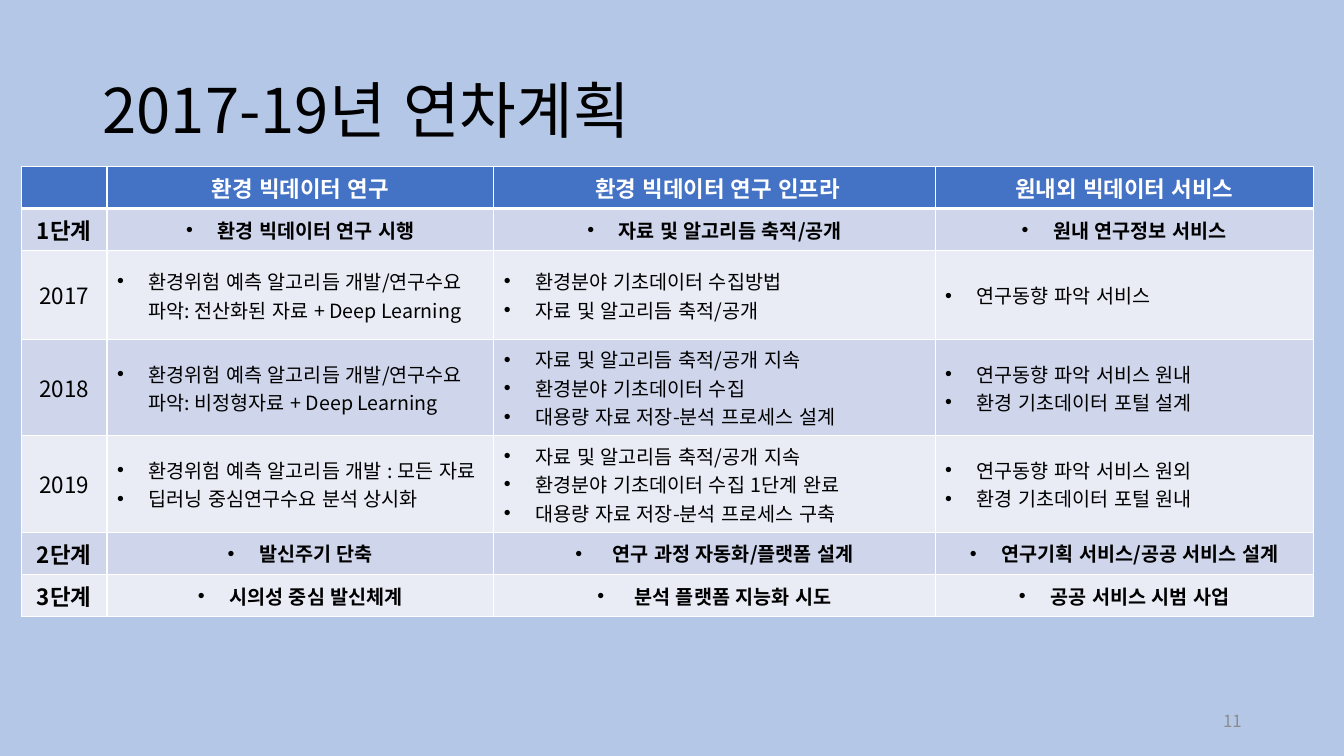
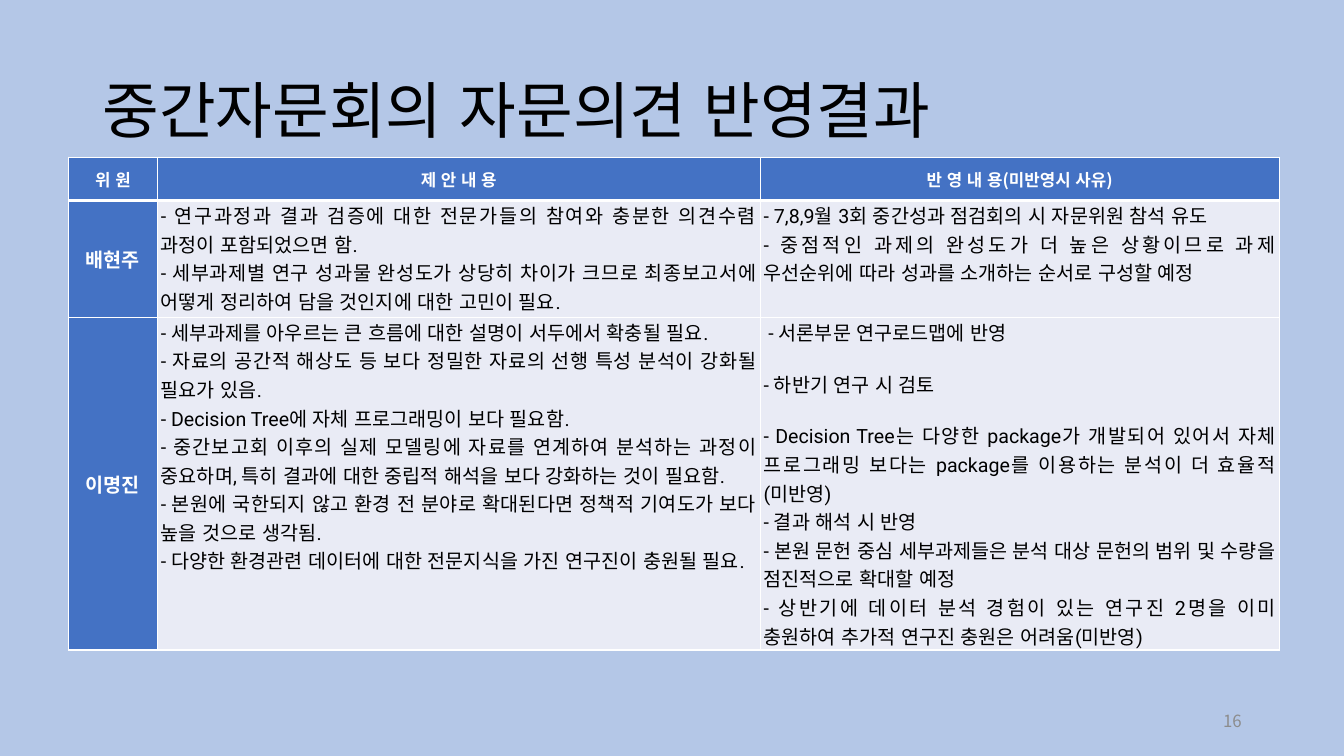
from dataclasses import dataclass, replace

from lxml import etree
from pptx import Presentation
from pptx.dml.color import RGBColor
from pptx.enum import lang, text
from pptx.oxml import ns
from pptx.util import Pt

SKY = RGBColor(0xB4, 0xC7, 0xE7)
BLUE = RGBColor(0x44, 0x72, 0xC4)
BAND_DARK = RGBColor(0xCF, 0xD5, 0xEA)
BAND_LIGHT = RGBColor(0xE9, 0xEB, 0xF5)
WHITE = RGBColor(0xFF, 0xFF, 0xFF)
BLACK = RGBColor(0, 0, 0)
GRAY = RGBColor(0x8C, 0x8C, 0x8C)

KOREAN_FONT = "Noto Sans CJK KR"
LATIN_FONT = "Roboto"
BULLET_INDENT = Pt(22.5)
TITLE_ONLY_LAYOUT = 5
STAGE_HEIGHT = 30.2
YEAR_HEIGHTS = {"2017": 63.4, "2018": 68.8, "2019": 68.8}

ALIGN = text.PP_ALIGN
MIDDLE = text.MSO_ANCHOR.MIDDLE
TOP = text.MSO_ANCHOR.TOP


@dataclass(frozen=True)
class Style:
    size: float
    color: RGBColor = BLACK
    bold: bool = False
    align: ALIGN = ALIGN.LEFT
    latin: str = KOREAN_FONT
    bullet: bool = False


TITLE = Style(44)
PAGE_NUMBER = Style(12, GRAY, align=ALIGN.RIGHT)
PLAN_HEADER = Style(16, WHITE, bold=True, align=ALIGN.CENTER)
STAGE_LABEL = replace(PLAN_HEADER, color=BLACK)
YEAR_LABEL = replace(STAGE_LABEL, bold=False)
YEAR_TASK = Style(14, bullet=True)
STAGE_TASK = replace(YEAR_TASK, bold=True, align=ALIGN.CENTER)
REVIEW_HEADER = replace(PLAN_HEADER, size=12)
REVIEWER = replace(PLAN_HEADER, size=14)
COMMENT = Style(14, align=ALIGN.JUSTIFY, latin=LATIN_FONT)

PLAN_COLUMNS = ["", "환경 빅데이터 연구", " 환경 빅데이터 연구 인프라", "원내외 빅데이터 서비스"]
PLAN = [
    ("1단계", ["환경 빅데이터 연구 시행"], ["자료 및 알고리듬 축적/공개"], ["원내 연구정보 서비스"]),
    ("2017",
     ["환경위험 예측 알고리듬 개발/연구수요 파악: 전산화된 자료 + Deep Learning"],
     ["환경분야 기초데이터 수집방법", "자료 및 알고리듬 축적/공개"],
     ["연구동향 파악 서비스"]),
    ("2018",
     ["환경위험 예측 알고리듬 개발/연구수요 파악: 비정형자료 + Deep Learning"],
     ["자료 및 알고리듬 축적/공개 지속", "환경분야 기초데이터 수집",
      "대용량 자료 저장-분석 프로세스 설계"],
     ["연구동향 파악 서비스 원내", "환경 기초데이터 포털 설계"]),
    ("2019",
     ["환경위험 예측 알고리듬 개발 : 모든 자료", "딥러닝 중심연구수요 분석 상시화"],
     ["자료 및 알고리듬 축적/공개 지속", "환경분야 기초데이터 수집 1단계 완료",
      "대용량 자료 저장-분석 프로세스 구축"],
     ["연구동향 파악 서비스 원외", "환경 기초데이터 포털 원내"]),
    ("2단계", ["발신주기 단축"], [" 연구 과정 자동화/플랫폼 설계"],
     ["연구기획 서비스/공공 서비스 설계"]),
    ("3단계", ["시의성 중심 발신체계"], [" 분석 플랫폼 지능화 시도"], ["공공 서비스 시범 사업"]),
]

REVIEW_COLUMNS = ["위 원", "제 안 내 용", "반 영 내 용(미반영시 사유)"]
REVIEWS = [
    ("배현주",
     ["- 연구과정과 결과 검증에 대한 전문가들의 참여와 충분한 의견수렴 과정이 포함되었으면 함.",
      "- 세부과제별 연구 성과물 완성도가 상당히 차이가 크므로 최종보고서에 어떻게 정리하여 "
      "담을 것인지에 대한 고민이 필요."],
     ["- 7,8,9월 3회 중간성과 점검회의 시 자문위원 참석 유도",
      "- 중점적인 과제의 완성도가 더 높은 상황이므로 과제 우선순위에 따라 성과를 소개하는 "
      "순서로 구성할 예정"],
     {}),
    ("이명진",
     ["- 세부과제를 아우르는 큰 흐름에 대한 설명이 서두에서 확충될 필요.",
      "- 자료의 공간적 해상도 등 보다 정밀한 자료의 선행 특성 분석이 강화될 필요가 있음.",
      "- Decision Tree에 자체 프로그래밍이 보다 필요함.",
      "- 중간보고회 이후의 실제 모델링에 자료를 연계하여 분석하는 과정이 중요하며, 특히 결과에 "
      "대한 중립적 해석을 보다 강화하는 것이 필요함.",
      "- 본원에 국한되지 않고 환경 전 분야로 확대된다면 정책적 기여도가 보다 높을 것으로 생각됨.",
      "- 다양한 환경관련 데이터에 대한 전문지식을 가진 연구진이 충원될 필요."],
     [" - 서론부문 연구로드맵에 반영",
      "- 하반기 연구 시 검토",
      "- Decision Tree는 다양한 package가 개발되어 있어서 자체 프로그래밍 보다는 package를 "
      "이용하는 분석이 더 효율적(미반영)",
      "- 결과 해석 시 반영",
      "- 본원 문헌 중심 세부과제들은 분석 대상 문헌의 범위 및 수량을 점진적으로 확대할 예정",
      "- 상반기에 데이터 분석 경험이 있는 연구진 2명을 이미 충원하여 추가적 연구진 충원은 "
      "어려움(미반영)"],
     {1: 16.6, 2: 16.6}),
]


def add_bullet(paragraph):
    props = paragraph._p.get_or_add_pPr()
    props.set("marL", str(BULLET_INDENT))
    props.set("indent", str(-BULLET_INDENT))
    etree.SubElement(props, ns.qn("a:buFont")).set("typeface", "Arial")
    etree.SubElement(props, ns.qn("a:buChar")).set("char", "•")


def write(frame, lines, style, gaps=None):
    """Write one paragraph per line; gaps maps a line index to its space before."""
    for index, line in enumerate(lines):
        paragraph = frame.add_paragraph() if index else frame.paragraphs[0]
        if style.bullet:
            add_bullet(paragraph)
        paragraph.alignment = style.align
        if gaps and index in gaps:
            paragraph.space_before = Pt(gaps[index])
        run = paragraph.add_run()
        run.text = line
        run.font.size = Pt(style.size)
        run.font.bold = style.bold
        run.font.color.rgb = style.color
        run.font.name = style.latin
        run.font.language_id = lang.MSO_LANGUAGE_ID.KOREAN
        east_asian = etree.SubElement(run._r.get_or_add_rPr(), ns.qn("a:ea"))
        east_asian.set("typeface", KOREAN_FONT)


def set_borders(cell, top=1, bottom=1):
    props = cell._tc.get_or_add_tcPr()
    for side, width in (("L", 1), ("R", 1), ("T", top), ("B", bottom)):
        line = etree.SubElement(props, ns.qn(f"a:ln{side}"), w=str(Pt(width)))
        fill = etree.SubElement(line, ns.qn("a:solidFill"))
        etree.SubElement(fill, ns.qn("a:srgbClr")).set("val", str(WHITE))


def fill_cell(cell, color, lines, style, gaps=None):
    cell.fill.solid()
    cell.fill.fore_color.rgb = color
    cell.vertical_anchor = MIDDLE
    write(cell.text_frame, lines, style, gaps)


def add_grid(slide, left, top, widths, heights, headers, header_style):
    """Add a white-ruled table with its header row filled in."""
    table = slide.shapes.add_table(
        len(heights), len(widths), Pt(left), Pt(top), Pt(sum(widths)), Pt(sum(heights))
    ).table
    table.horz_banding = False
    for column, width in zip(table.columns, widths):
        column.width = Pt(width)
    for index, (row, height) in enumerate(zip(table.rows, heights)):
        row.height = Pt(height)
        for cell in row.cells:
            set_borders(cell, 3 if index == 1 else 1, 3 if index == 0 else 1)
    for cell, header in zip(table.rows[0].cells, headers):
        fill_cell(cell, BLUE, [header] if header else [], header_style)
    return table


def add_page(deck, heading, number):
    """Add a slide with its title and page number."""
    slide = deck.slides.add_slide(deck.slide_layouts[TITLE_ONLY_LAYOUT])
    title = slide.shapes.title
    title.left, title.top, title.width, title.height = Pt(66), Pt(28.8), Pt(828), Pt(104.4)
    frame = title.text_frame
    frame.auto_size = text.MSO_AUTO_SIZE.NONE
    frame.vertical_anchor = MIDDLE
    write(frame, [heading], TITLE)
    frame.paragraphs[0].line_spacing = 0.9

    footer = slide.shapes.add_textbox(Pt(678), Pt(500.5), Pt(216), Pt(28.8)).text_frame
    footer.word_wrap = True
    footer.vertical_anchor = MIDDLE
    write(footer, [str(number)], PAGE_NUMBER)
    return slide


def add_plan(deck):
    slide = add_page(deck, "2017-19년 연차계획", 11)
    heights = [STAGE_HEIGHT] + [YEAR_HEIGHTS.get(label, STAGE_HEIGHT) for label, *_ in PLAN]
    table = add_grid(slide, 15.2, 118.8, [61.2, 276.4, 315.2, 270.2], heights,
                     PLAN_COLUMNS, PLAN_HEADER)
    for index, (label, *tasks) in enumerate(PLAN):
        label_style, task_style = (
            (YEAR_LABEL, YEAR_TASK) if label in YEAR_HEIGHTS else (STAGE_LABEL, STAGE_TASK))
        band = BAND_LIGHT if index % 2 else BAND_DARK
        label_cell, *task_cells = table.rows[index + 1].cells
        fill_cell(label_cell, band, [label], label_style)
        for cell, lines in zip(task_cells, tasks):
            fill_cell(cell, band, lines, task_style)


def add_reviews(deck):
    slide = add_page(deck, "중간자문회의 자문의견 반영결과", 16)
    table = add_grid(slide, 49, 112.3, [63.4, 430.6, 370.8], [31, 83.5, 237.5],
                     REVIEW_COLUMNS, REVIEW_HEADER)
    for index, (reviewer, proposals, responses, gaps) in enumerate(REVIEWS, 1):
        reviewer_cell, proposal_cell, response_cell = table.rows[index].cells
        fill_cell(reviewer_cell, BLUE, [reviewer], REVIEWER)
        fill_cell(proposal_cell, BAND_LIGHT, proposals, COMMENT)
        fill_cell(response_cell, BAND_LIGHT, responses, COMMENT, gaps)
        for cell in (proposal_cell, response_cell):
            cell.vertical_anchor = TOP
            cell.margin_left = cell.margin_right = Pt(2.5)
            cell.margin_top = cell.margin_bottom = 0


def main():
    deck = Presentation()
    deck.slide_width, deck.slide_height = Pt(960), Pt(540)
    background = deck.slide_master.background.fill
    background.solid()
    background.fore_color.rgb = SKY
    add_plan(deck)
    add_reviews(deck)
    deck.save("out.pptx")


if __name__ == "__main__":
    main()
